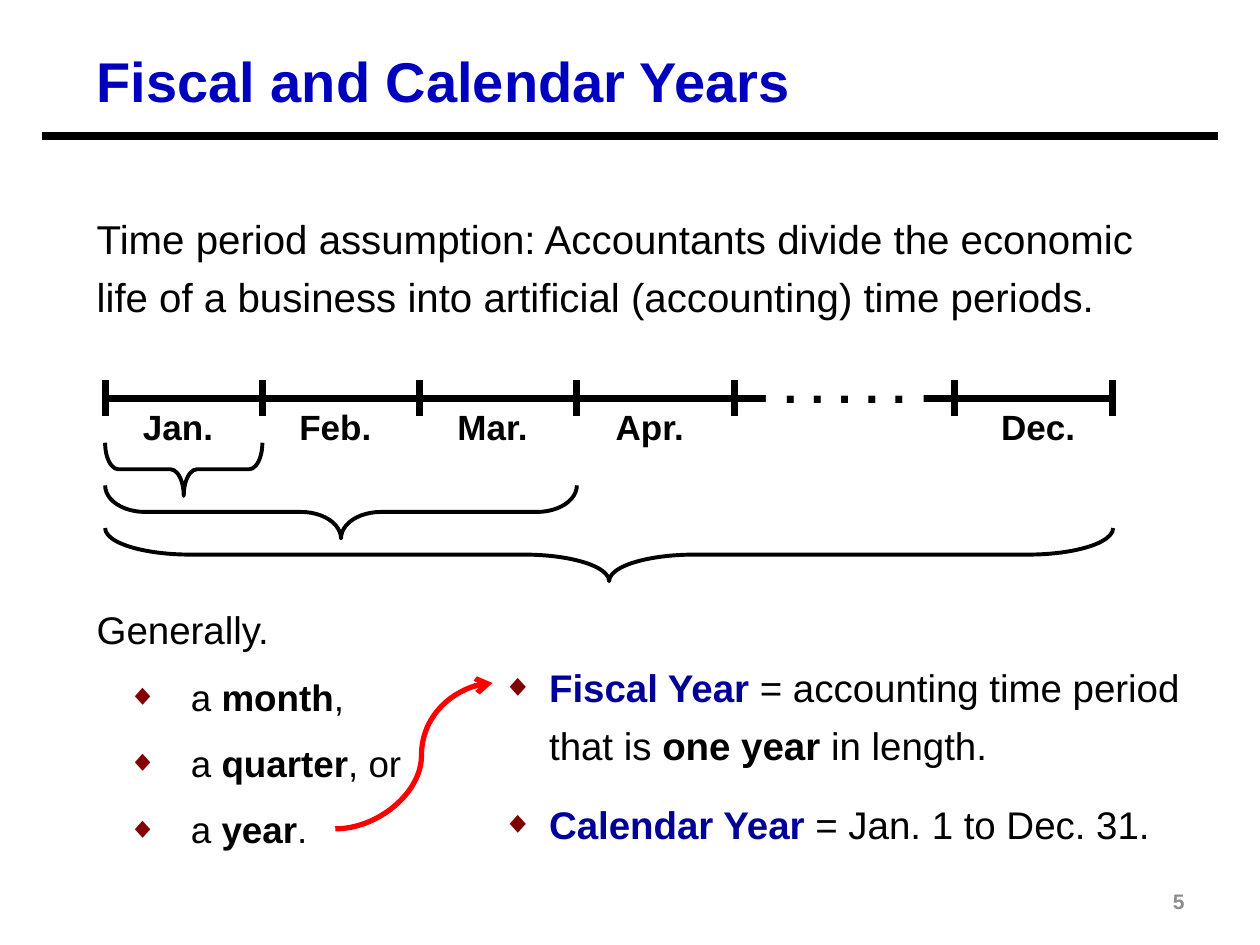
from dataclasses import dataclass

import lxml.etree
import pptx
import pptx.dml.color
import pptx.enum.shapes
import pptx.enum.text
import pptx.oxml.ns
import pptx.util

Cm, Pt = pptx.util.Cm, pptx.util.Pt
qn = pptx.oxml.ns.qn
ALIGN = pptx.enum.text.PP_ALIGN
ANCHOR = pptx.enum.text.MSO_ANCHOR
SHAPE = pptx.enum.shapes.MSO_SHAPE
CONNECTOR = pptx.enum.shapes.MSO_CONNECTOR

BLACK, WHITE, RED = "000000", "FFFFFF", "FF0000"
TITLE_BLUE, TERM_BLUE, BULLET_RED, GREY = "0000BF", "000099", "800000", "8C8C8C"


@dataclass
class Span:
    text: str
    bold: bool = False
    color: str = BLACK


@dataclass
class Para:
    spans: list[Span]
    size: float
    align: ALIGN = ALIGN.LEFT
    line_spacing: float = 1.0
    before: float = 0
    indent: float = 0  # left margin of a bulleted paragraph, in cm
    hanging: float = 0


@dataclass
class Month:
    name: str
    centre: float


@dataclass
class Brace:
    span: float
    bend: float


def color(value: str) -> pptx.dml.color.RGBColor:
    return pptx.dml.color.RGBColor.from_string(value)


def add_bullet(paragraph, indent: float, hanging: float) -> None:
    properties = paragraph._p.get_or_add_pPr()
    properties.set("marL", str(Cm(indent)))
    properties.set("indent", str(-Cm(hanging)))
    bullet_color = lxml.etree.SubElement(properties, qn("a:buClr"))
    lxml.etree.SubElement(bullet_color, qn("a:srgbClr"), val=BULLET_RED)
    lxml.etree.SubElement(properties, qn("a:buSzPct"), val="80000")
    lxml.etree.SubElement(properties, qn("a:buFont"), typeface="Arial")
    lxml.etree.SubElement(properties, qn("a:buChar"), char="◆")


def write(frame, paras: list[Para], anchor=ANCHOR.TOP, wrap: bool = True) -> None:
    frame.word_wrap = wrap
    frame.vertical_anchor = anchor
    for index, para in enumerate(paras):
        paragraph = frame.paragraphs[0] if index == 0 else frame.add_paragraph()
        if para.indent:
            add_bullet(paragraph, para.indent, para.hanging)
        paragraph.alignment = para.align
        paragraph.line_spacing = para.line_spacing
        paragraph.space_before = Pt(para.before if index else 0)
        for span in para.spans:
            run = paragraph.add_run()
            run.text = span.text
            run.font.name = "Arial"
            run.font.size = Pt(para.size)
            run.font.bold = span.bold
            run.font.color.rgb = color(span.color)


def add_text(page, left: float, top: float, width: float, height: float,
             paras: list[Para], anchor=ANCHOR.TOP) -> None:
    box = page.shapes.add_textbox(Cm(left), Cm(top), Cm(width), Cm(height))
    write(box.text_frame, paras, anchor)


def add_line(page, start: tuple[float, float], end: tuple[float, float],
             width: float, line_color: str = BLACK, kind=CONNECTOR.STRAIGHT):
    line = page.shapes.add_connector(kind, *map(Cm, start), *map(Cm, end))
    line.line.width = Pt(width)
    line.line.color.rgb = color(line_color)
    lxml.etree.SubElement(line._element.spPr, qn("a:effectLst"))
    return line


def add_brace(page, left: float, centre_y: float, depth: float, brace: Brace) -> None:
    centre_x = left + brace.span / 2
    shape = page.shapes.add_shape(
        SHAPE.LEFT_BRACE, Cm(centre_x - depth / 2), Cm(centre_y - brace.span / 2),
        Cm(depth), Cm(brace.span))
    shape.rotation = 270
    shape.adjustments[0] = brace.bend
    shape.shadow.inherit = False
    shape.fill.background()
    shape.line.width = Pt(2.25)
    shape.line.color.rgb = color(BLACK)


def add_timeline(page) -> None:
    start, step, axis_y = 2.12, 3.17, 8.03
    tick_top, tick_bottom = 7.67, 8.38
    december = 19.25

    # Axis, with a gap for the months left out
    add_line(page, (start, axis_y), (december + step, axis_y), 4)
    gap = page.shapes.add_shape(SHAPE.RECTANGLE, Cm(15.44), Cm(tick_top), Cm(3.18), Cm(0.84))
    gap.shadow.inherit = False
    gap.fill.solid()
    gap.fill.fore_color.rgb = color(WHITE)
    gap.line.fill.background()
    write(gap.text_frame, [Para([Span(". . . . .", True)], 28, ALIGN.CENTER, 0.15)],
          ANCHOR.MIDDLE, wrap=False)

    # Ticks
    for x in [start + step * i for i in range(5)] + [december, december + step]:
        add_line(page, (x, tick_top), (x, tick_bottom), 4)

    # Month names
    months = [Month(name, 3.59 + step * i)
              for i, name in enumerate(["Jan.", "Feb.", "Mar.", "Apr."])]
    for month in months + [Month("Dec.", 20.93)]:
        add_text(page, month.centre - 1.07, 8.05, 2.14, 1.09,
                 [Para([Span(month.name, True)], 20, ALIGN.CENTER)])

    # Month, quarter and year braces
    braces = [Brace(step, 0.25), Brace(step * 3, 0.75), Brace(20.32, 1.6)]
    for i, brace in enumerate(braces):
        add_brace(page, start, 9.46 + 0.86 * i, 1.07, brace)


def period(name: str, ending: str) -> Para:
    return Para([Span("a"), Span(f" {name}", True), Span(ending)],
                21, line_spacing=1.2, before=7.6, indent=1.9, hanging=1.27)


def definition(spans: list[Span]) -> Para:
    return Para(spans, 22, line_spacing=1.25, before=12.5, indent=0.94, hanging=0.94)


def main() -> None:
    deck = pptx.Presentation()
    deck.slide_width, deck.slide_height = Cm(25.4), Cm(19.05)
    page = deck.slides.add_slide(deck.slide_layouts[6])

    # Title and rule
    add_text(page, 1.7, 0.84, 22.86, 1.55,
             [Para([Span("Fiscal and Calendar Years", True, TITLE_BLUE)], 32)], ANCHOR.MIDDLE)
    add_line(page, (0.84, 2.75), (24.56, 2.75), 4.5)

    # Assumption
    add_text(page, 1.7, 4.01, 21.59, 2.59, [Para([Span(
        "Time period assumption: Accountants divide the economic life of a business "
        "into artificial (accounting) time periods.")], 23, line_spacing=1.2)])

    add_timeline(page)

    # Periods
    add_text(page, 1.7, 11.91, 7.16, 5.38, [
        Para([Span("Generally.")], 22, line_spacing=1.2),
        period("month", ","), period("quarter", ", or"), period("year", ".")])

    # Definitions
    add_text(page, 9.88, 13.03, 14.68, 4.24, [
        definition([Span("Fiscal Year", True, TERM_BLUE),
                    Span(" = accounting time period that is "),
                    Span("one year", True), Span(" in length.")]),
        definition([Span("Calendar Year", True, TERM_BLUE),
                    Span(" = Jan. 1 to Dec. 31.")])])

    # Arrow from year to its definition
    arrow = add_line(page, (6.76, 16.71), (9.93, 13.77), 3, RED, CONNECTOR.CURVE)
    lxml.etree.SubElement(arrow.line._get_or_add_ln(), qn("a:tailEnd"), type="arrow")
    guides = arrow._element.spPr.find(qn("a:prstGeom")).find(qn("a:avLst"))
    lxml.etree.SubElement(guides, qn("a:gd"), name="adj1", fmla="val 54800")

    # Page number
    add_text(page, 18.21, 17.65, 5.92, 1.02,
             [Para([Span("5", True, GREY)], 12, ALIGN.RIGHT)], ANCHOR.MIDDLE)

    deck.save("out.pptx")


if __name__ == "__main__":
    main()
